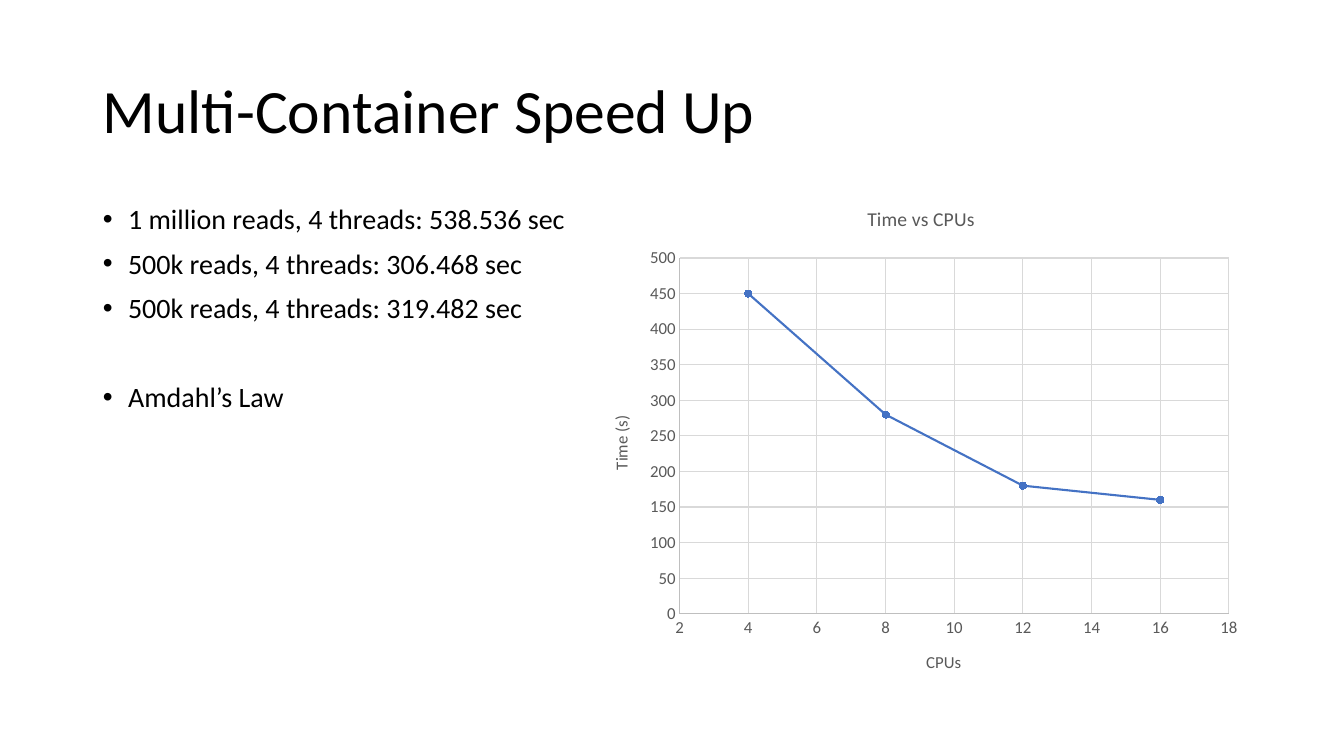
"""Build the multi-container speed-up slide with timings and a scatter chart."""
from dataclasses import dataclass

from lxml import etree
from pptx import Presentation
from pptx.chart.axis import ValueAxis
from pptx.chart.chart import Chart
from pptx.chart.data import XyChartData
from pptx.dml.color import RGBColor
from pptx.enum.chart import XL_CHART_TYPE, XL_MARKER_STYLE, XL_TICK_MARK
from pptx.enum.text import MSO_ANCHOR, MSO_AUTO_SIZE, PP_ALIGN
from pptx.oxml import parse_xml
from pptx.oxml.ns import nsdecls, qn
from pptx.shapes.placeholder import SlidePlaceholder
from pptx.slide import Slide
from pptx.text.text import Font
from pptx.util import Inches, Pt

SCATTER = XL_CHART_TYPE.XY_SCATTER_LINES
CIRCLE = XL_MARKER_STYLE.CIRCLE
NO_TICKS = XL_TICK_MARK.NONE
LEFT = PP_ALIGN.LEFT
MIDDLE, TOP = MSO_ANCHOR.MIDDLE, MSO_ANCHOR.TOP
NO_AUTOFIT = MSO_AUTO_SIZE.NONE


@dataclass(frozen=True)
class Theme:
    font: str = "Calibri"
    text: RGBColor = RGBColor(0x00, 0x00, 0x00)
    chart_text: RGBColor = RGBColor(0x59, 0x59, 0x59)
    axis_line: RGBColor = RGBColor(0xBF, 0xBF, 0xBF)
    grid: RGBColor = RGBColor(0xD9, 0xD9, 0xD9)
    series: RGBColor = RGBColor(0x44, 0x72, 0xC4)
    title_size: int = 44
    body_size: int = 20
    chart_title_size: int = 14
    axis_size: int = 12


@dataclass(frozen=True)
class Box:
    left: float
    top: float
    width: float
    height: float


@dataclass(frozen=True)
class Bullet:
    text: str
    space_before: int = 10


@dataclass(frozen=True)
class AxisScale:
    title: str
    minimum: int
    maximum: int
    step: int


THEME = Theme()
TITLE_BOX = Box(0.92, 0.4, 11.5, 1.45)
BODY_BOX = Box(0.92, 1.99, 11.5, 4.76)
CHART_BOX = Box(5.85, 1.85, 6.57, 5.04)
PLOT_BOX = Box(6.74, 2.56, 5.45, 3.53)
BULLETS = (
    Bullet("1 million reads, 4 threads: 538.536 sec", 0),
    Bullet("500k reads, 4 threads: 306.468 sec"),
    Bullet("500k reads, 4 threads: 319.482 sec"),
    Bullet("Amdahl’s Law", 42),
)
CPU_SCALE = AxisScale("CPUs", 2, 18, 2)
TIME_SCALE = AxisScale("Time (s)", 0, 500, 50)
SECONDS_BY_CPUS = {4: 450, 8: 280, 12: 180, 16: 160}


def set_font(font: Font, size: int, color: RGBColor) -> None:
    font.name = THEME.font
    font.size = Pt(size)
    font.bold = False
    font.color.rgb = color


def place(holder: SlidePlaceholder, box: Box, anchor: MSO_ANCHOR) -> None:
    holder.left, holder.top = Inches(box.left), Inches(box.top)
    holder.width, holder.height = Inches(box.width), Inches(box.height)
    frame = holder.text_frame
    frame.word_wrap = True
    frame.auto_size = NO_AUTOFIT
    frame.vertical_anchor = anchor


def add_title(slide: Slide, text: str) -> None:
    title = slide.shapes.title
    place(title, TITLE_BOX, MIDDLE)
    title.text_frame.text = text
    paragraph = title.text_frame.paragraphs[0]
    paragraph.alignment = LEFT
    paragraph.line_spacing = 0.9
    set_font(paragraph.font, THEME.title_size, THEME.text)


def add_bullets(slide: Slide, bullets: tuple[Bullet, ...]) -> None:
    body = slide.placeholders[1]
    place(body, BODY_BOX, TOP)
    frame = body.text_frame
    frame.text = "\n".join(bullet.text for bullet in bullets)
    for paragraph, bullet in zip(frame.paragraphs, bullets):
        paragraph.line_spacing = 0.9
        paragraph.space_before = Pt(bullet.space_before)
        properties = paragraph._p.get_or_add_pPr()
        properties.set("marL", str(Inches(0.25)))
        properties.set("indent", str(Inches(-0.25)))
        etree.SubElement(properties, qn("a:buFont")).set("typeface", "Arial")
        etree.SubElement(properties, qn("a:buChar")).set("char", "•")
        set_font(paragraph.font, THEME.body_size, THEME.text)


def style_axis(axis: ValueAxis, scale: AxisScale) -> None:
    axis.minimum_scale, axis.maximum_scale = scale.minimum, scale.maximum
    axis.major_unit = scale.step
    axis.major_tick_mark = axis.minor_tick_mark = NO_TICKS
    axis.has_major_gridlines = True
    for line, color in (
        (axis.format.line, THEME.axis_line),
        (axis.major_gridlines.format.line, THEME.grid),
    ):
        line.color.rgb = color
        line.width = Pt(0.75)
    set_font(axis.tick_labels.font, THEME.axis_size, THEME.chart_text)
    title = axis.axis_title.text_frame
    title.text = scale.title
    set_font(title.paragraphs[0].font, THEME.axis_size, THEME.chart_text)


def fix_plot_area(chart: Chart) -> None:
    plot_area = chart._chartSpace.chart.plotArea
    for layout in plot_area.findall(qn("c:layout")):
        plot_area.remove(layout)
    shares = {
        "x": (PLOT_BOX.left - CHART_BOX.left) / CHART_BOX.width,
        "y": (PLOT_BOX.top - CHART_BOX.top) / CHART_BOX.height,
        "w": PLOT_BOX.width / CHART_BOX.width,
        "h": PLOT_BOX.height / CHART_BOX.height,
    }
    modes = "".join(f'<c:{side}Mode val="edge"/>' for side in "xy")
    values = "".join(f'<c:{side} val="{share}"/>' for side, share in shares.items())
    plot_area.insert(0, parse_xml(
        f'<c:layout {nsdecls("c")}><c:manualLayout><c:layoutTarget val="inner"/>'
        f"{modes}{values}</c:manualLayout></c:layout>"
    ))


def add_speed_chart(slide: Slide) -> None:
    data = XyChartData()
    timings = data.add_series("Series 1")
    for cpus, seconds in SECONDS_BY_CPUS.items():
        timings.add_data_point(cpus, seconds)
    lengths = (CHART_BOX.left, CHART_BOX.top, CHART_BOX.width, CHART_BOX.height)
    chart = slide.shapes.add_chart(SCATTER, *map(Inches, lengths), data).chart
    set_font(chart.font, THEME.axis_size, THEME.text)
    chart.has_legend = False
    chart.has_title = True
    title = chart.chart_title.text_frame
    title.text = "Time vs CPUs"
    set_font(title.paragraphs[0].font, THEME.chart_title_size, THEME.chart_text)
    style_axis(chart.category_axis, CPU_SCALE)
    style_axis(chart.value_axis, TIME_SCALE)
    fix_plot_area(chart)
    plot = chart.plots[0]
    plot.vary_by_categories = False
    curve = plot.series[0]
    curve.smooth = False
    curve.format.line.color.rgb = THEME.series
    curve.format.line.width = Pt(1.5)
    curve.marker.style = CIRCLE
    curve.marker.size = 5
    curve.marker.format.fill.solid()
    curve.marker.format.fill.fore_color.rgb = THEME.series
    curve.marker.format.line.color.rgb = THEME.series


def main() -> None:
    presentation = Presentation()
    presentation.slide_width = Inches(13.33)
    presentation.slide_height = Inches(7.5)
    slide = presentation.slides.add_slide(presentation.slide_layouts[1])
    add_title(slide, "Multi-Container Speed Up")
    add_bullets(slide, BULLETS)
    add_speed_chart(slide)
    presentation.save("out.pptx")


if __name__ == "__main__":
    main()
